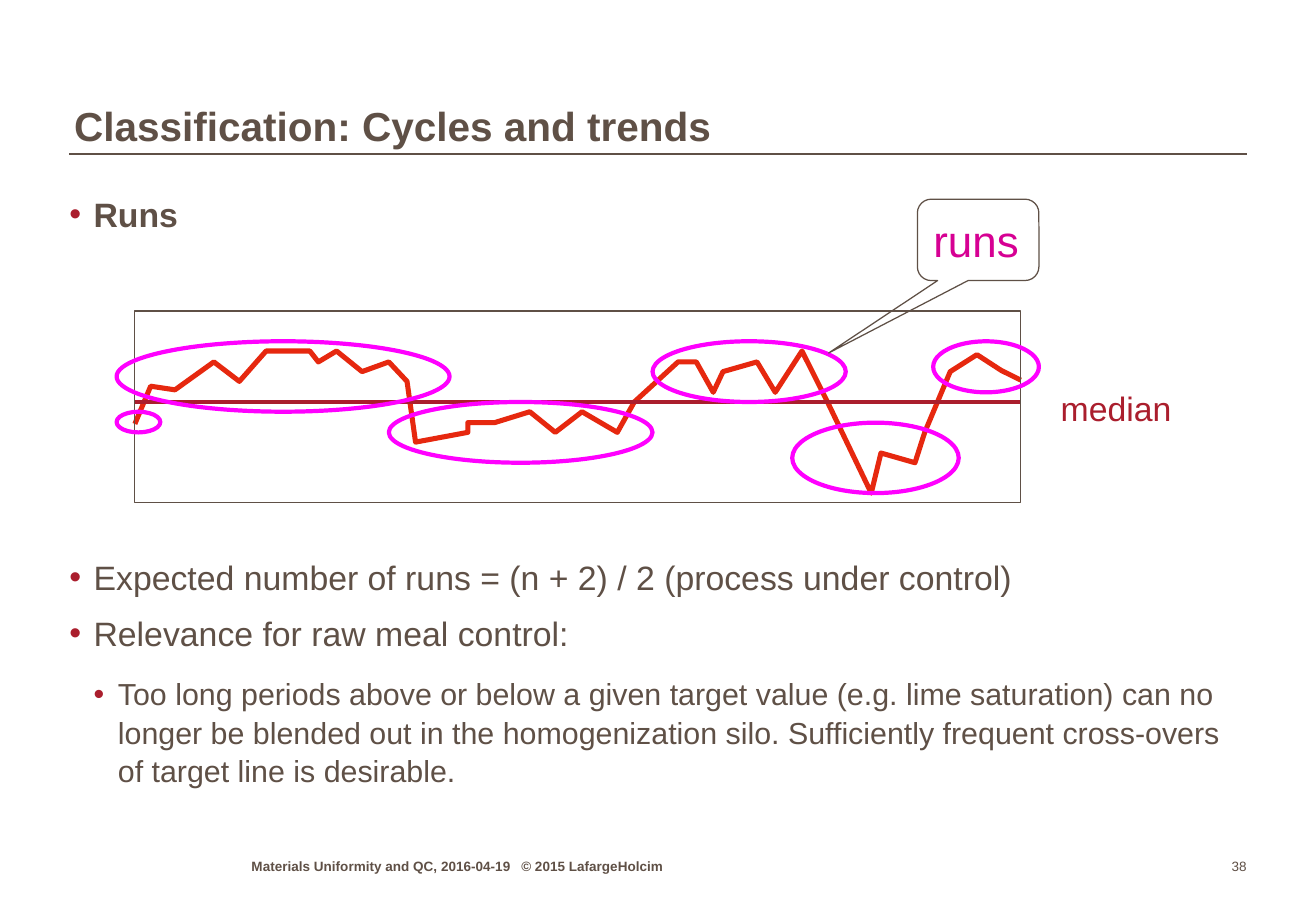
from dataclasses import dataclass, field

from lxml import etree
from pptx import Presentation
from pptx import util as u
from pptx.dml.color import RGBColor
from pptx.enum import shapes, text
from pptx.oxml import ns

PX = 9144  # 100 px to the inch
COLORS = {"text": "5F5046", "accent": "AA1E2D", "curve": "E6280F",
          "run": "FF00FF", "callout": "D60093"}
RUN_SIGNAL = [
    (111, 349), (124, 318), (144, 321), (176, 298), (197, 314), (219, 289),
    (255, 289), (262, 298), (277, 289), (298, 306), (320, 298), (335, 314),
    (342, 364), (385, 356), (385, 348), (407, 348), (436, 339), (457, 356),
    (479, 339), (508, 356), (522, 331), (558, 298), (573, 298), (587, 323),
    (595, 306), (623, 298), (638, 323), (660, 289), (681, 331), (717, 406),
    (725, 373), (753, 381), (761, 356), (782, 306), (804, 292), (824, 305),
    (840, 313)]


@dataclass(frozen=True)
class Box:
    left: int
    top: int
    width: int
    height: int

    def emu(self) -> list[int]:
        return [value * PX for value in (self.left, self.top, self.width, self.height)]


@dataclass(frozen=True)
class Style:
    size: int
    color: str = "text"
    bold: bool = False


@dataclass(frozen=True)
class Bullet:
    words: str
    style: Style
    space_before: int
    level: int = 0


@dataclass(frozen=True)
class Label:
    box: Box
    words: str
    style: Style
    frame: dict = field(default_factory=dict)
    align: text.PP_ALIGN = text.PP_ALIGN.LEFT
    tab: int = 0


NO_MARGINS = dict.fromkeys(
    ("margin_left", "margin_top", "margin_right", "margin_bottom"), 0)
FOOTER = {**NO_MARGINS, "vertical_anchor": text.MSO_ANCHOR.BOTTOM, "word_wrap": True}
PLOT = Box(111, 256, 729, 158)
CALLOUT = Box(755, 164, 100, 67)
RUNS = [Box(96, 339, 36, 17), Box(96, 281, 274, 58), Box(320, 331, 217, 50),
        Box(537, 281, 159, 50), Box(652, 348, 137, 58), Box(768, 281, 87, 42)]
BULLETS = [
    Bullet("Runs", Style(20, bold=True), 0),
    Bullet("Expected number of runs = (n + 2) / 2 (process under control)", Style(20), 190),
    Bullet("Relevance for raw meal control:", Style(20), 8),
    Bullet("Too long periods above or below a given target value (e.g. lime saturation) "
           "can no longer be blended out in the homogenization silo. Sufficiently "
           "frequent cross-overs of target line is desirable.", Style(18), 12, 1)]
LABELS = [
    Label(Box(863, 314, 111, 43), "median", Style(20, "accent"), {"word_wrap": False}),
    Label(Box(207, 702, 347, 18),
          "Materials Uniformity and QC, 2016-04-19\t© 2015 LafargeHolcim",
          Style(8, bold=True), FOOTER, tab=222),
    Label(Box(979, 702, 47, 18), "38", Style(8), FOOTER, text.PP_ALIGN.RIGHT)]


def apply(target, values: dict) -> None:
    for name, value in values.items():
        setattr(target, name, value)


def rgb(color: str) -> RGBColor:
    return RGBColor.from_string(COLORS[color])


def place(shape, box: Box) -> None:
    apply(shape, dict(zip(("left", "top", "width", "height"), box.emu())))


def write(paragraph, words: str, style: Style) -> None:
    run = paragraph.add_run()
    run.text = words
    apply(run.font, {"name": "Arial", "size": u.Pt(style.size), "bold": style.bold})
    run.font.color.rgb = rgb(style.color)


def outline(shape, color: str, width: float) -> None:
    shape.line.color.rgb = rgb(color)
    shape.line.width = u.Pt(width)


def add_outline_shape(slide, kind, box: Box, color: str, width: float):
    shape = slide.shapes.add_shape(kind, *box.emu())
    shape.shadow.inherit = False
    shape.fill.background()
    outline(shape, color, width)
    return shape


def add_horizontal(slide, left: int, right: int, y: int, color: str, width: float) -> None:
    line = slide.shapes.add_connector(
        shapes.MSO_CONNECTOR.STRAIGHT, left * PX, y * PX, right * PX, y * PX)
    outline(line, color, width)
    etree.SubElement(line._element.spPr, ns.qn("a:effectLst"))


def add_label(slide, label: Label) -> None:
    frame = slide.shapes.add_textbox(*label.box.emu()).text_frame
    apply(frame, label.frame)
    paragraph = frame.paragraphs[0]
    paragraph.alignment = label.align
    if label.tab:
        tabs = etree.SubElement(paragraph._p.get_or_add_pPr(), ns.qn("a:tabLst"))
        etree.SubElement(tabs, ns.qn("a:tab"), pos=str(label.tab * PX), algn="l")
    write(paragraph, label.words, label.style)


def add_bullet(paragraph, bullet: Bullet) -> None:
    apply(paragraph, {"level": bullet.level, "line_spacing": 1.05,
                      "space_before": u.Pt(bullet.space_before),
                      "alignment": text.PP_ALIGN.LEFT})
    properties = paragraph._p.get_or_add_pPr()
    properties.set("marL", str(20 * (bullet.level + 1) * PX))
    properties.set("indent", str(-20 * PX))
    color = etree.SubElement(properties, ns.qn("a:buClr"))
    etree.SubElement(color, ns.qn("a:srgbClr"), val=COLORS["accent"])
    etree.SubElement(properties, ns.qn("a:buFont"), typeface="Arial")
    etree.SubElement(properties, ns.qn("a:buChar"), char="•")
    write(paragraph, bullet.words, bullet.style)


def fill_placeholders(slide) -> None:
    title, body = slide.placeholders
    place(title, Box(61, 38, 960, 87))
    place(body, Box(57, 158, 969, 500))
    for shape, anchor in ((title, text.MSO_ANCHOR.BOTTOM), (body, text.MSO_ANCHOR.TOP)):
        apply(shape.text_frame, {**NO_MARGINS, "vertical_anchor": anchor, "word_wrap": True,
                                 "auto_size": text.MSO_AUTO_SIZE.NONE})
    title.text_frame.margin_bottom = PX
    heading = title.text_frame.paragraphs[0]
    apply(heading, {"alignment": text.PP_ALIGN.LEFT, "line_spacing": 0.95})
    write(heading, "Classification: Cycles and trends", Style(24, bold=True))
    for index, bullet in enumerate(BULLETS):
        frame = body.text_frame
        add_bullet(frame.add_paragraph() if index else frame.paragraphs[0], bullet)


def add_run_chart(slide) -> None:
    builder = slide.shapes.build_freeform(*RUN_SIGNAL[0], scale=PX)
    builder.add_line_segments(RUN_SIGNAL[1:], close=False)
    curve = builder.convert_to_shape()
    curve.shadow.inherit = False
    curve.fill.background()
    outline(curve, "curve", 3)
    add_horizontal(slide, PLOT.left, PLOT.left + PLOT.width, 331, "accent", 2)
    add_outline_shape(slide, shapes.MSO_SHAPE.RECTANGLE, PLOT, "text", 0.75)
    for box in RUNS:
        add_outline_shape(slide, shapes.MSO_SHAPE.OVAL, box, "run", 2.5)


def add_callout(slide) -> None:
    callout = add_outline_shape(
        slide, shapes.MSO_SHAPE.ROUNDED_RECTANGULAR_CALLOUT, CALLOUT, "text", 0.75)
    for index, value in enumerate((-1.23, 1.39, 0.17)):
        callout.adjustments[index] = value
    callout.text_frame.vertical_anchor = text.MSO_ANCHOR.MIDDLE
    paragraph = callout.text_frame.paragraphs[0]
    paragraph.alignment = text.PP_ALIGN.LEFT
    write(paragraph, "runs", Style(26, "callout"))


def main() -> None:
    presentation = Presentation()
    apply(presentation, {"slide_width": 1083 * PX, "slide_height": 750 * PX})
    slide = presentation.slides.add_slide(presentation.slide_layouts[1])
    fill_placeholders(slide)
    add_horizontal(slide, 57, 1026, 127, "text", 1)
    add_run_chart(slide)
    add_callout(slide)
    for label in LABELS:
        add_label(slide, label)
    presentation.save("out.pptx")


if __name__ == "__main__":
    main()
